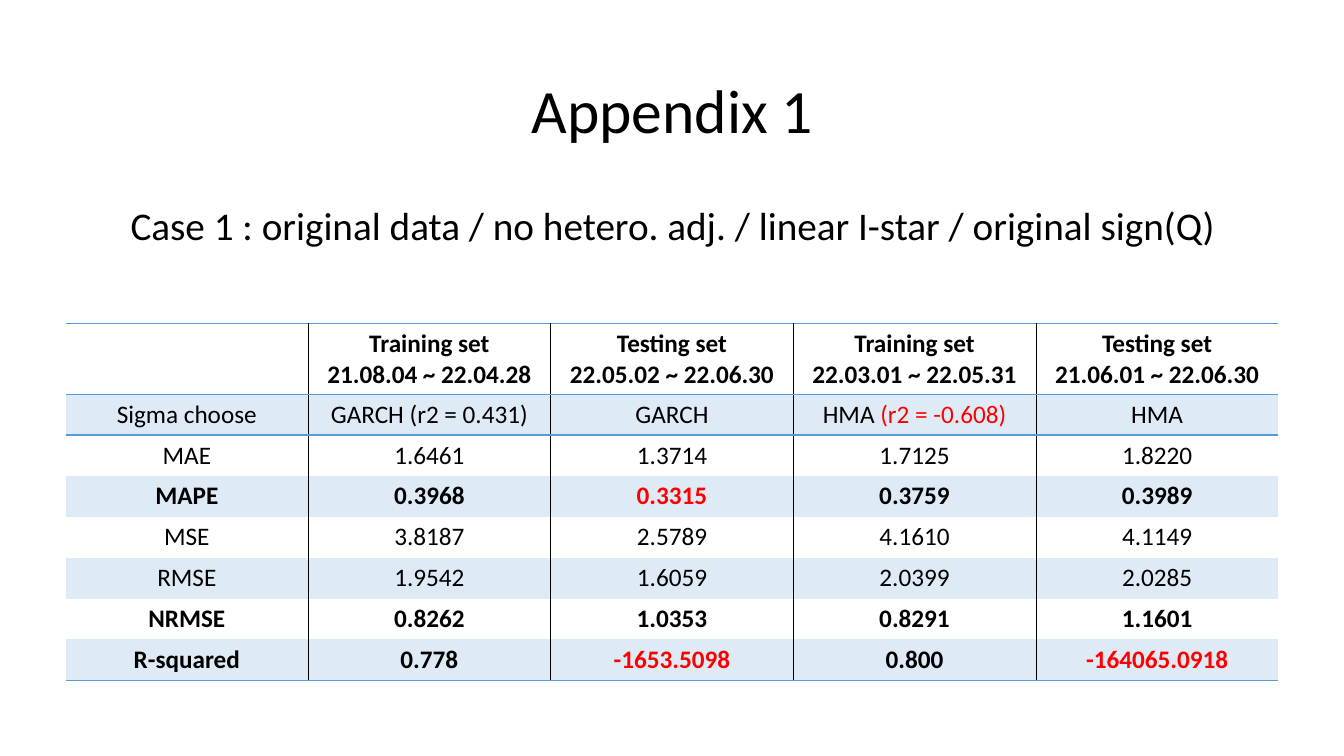
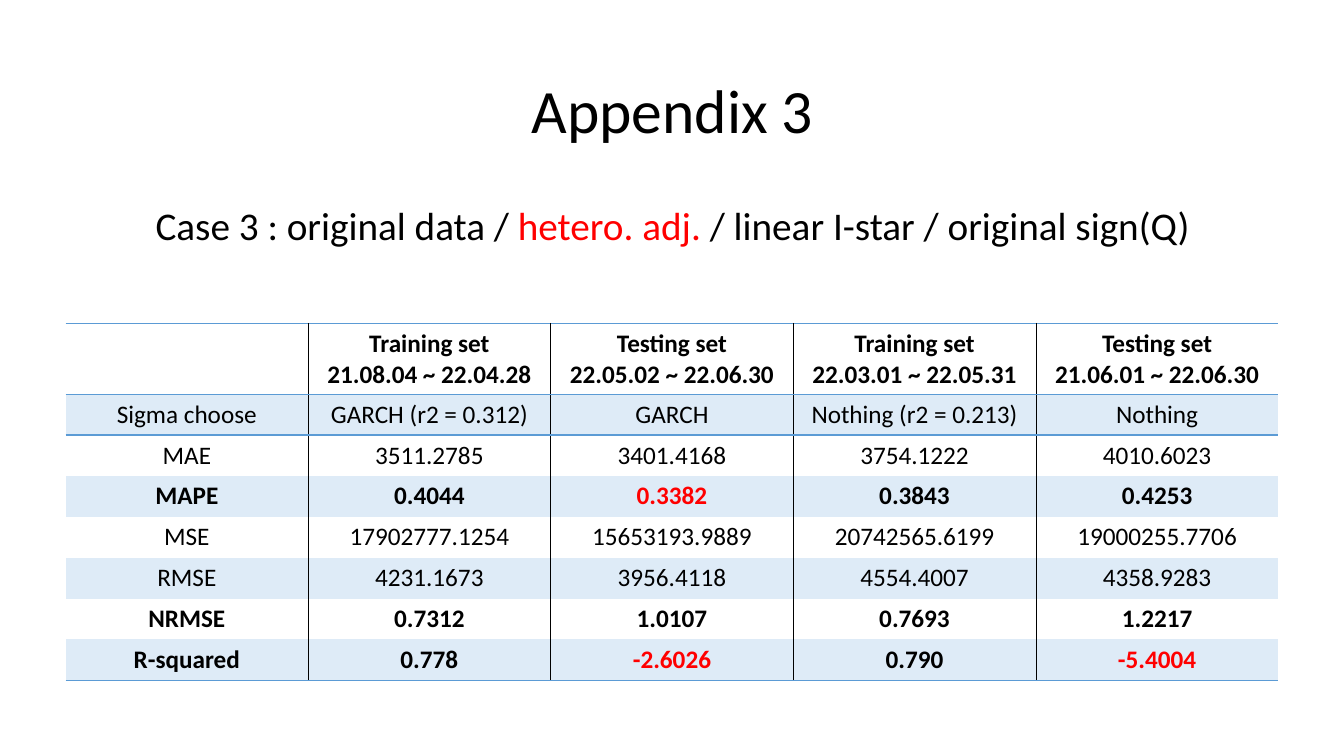
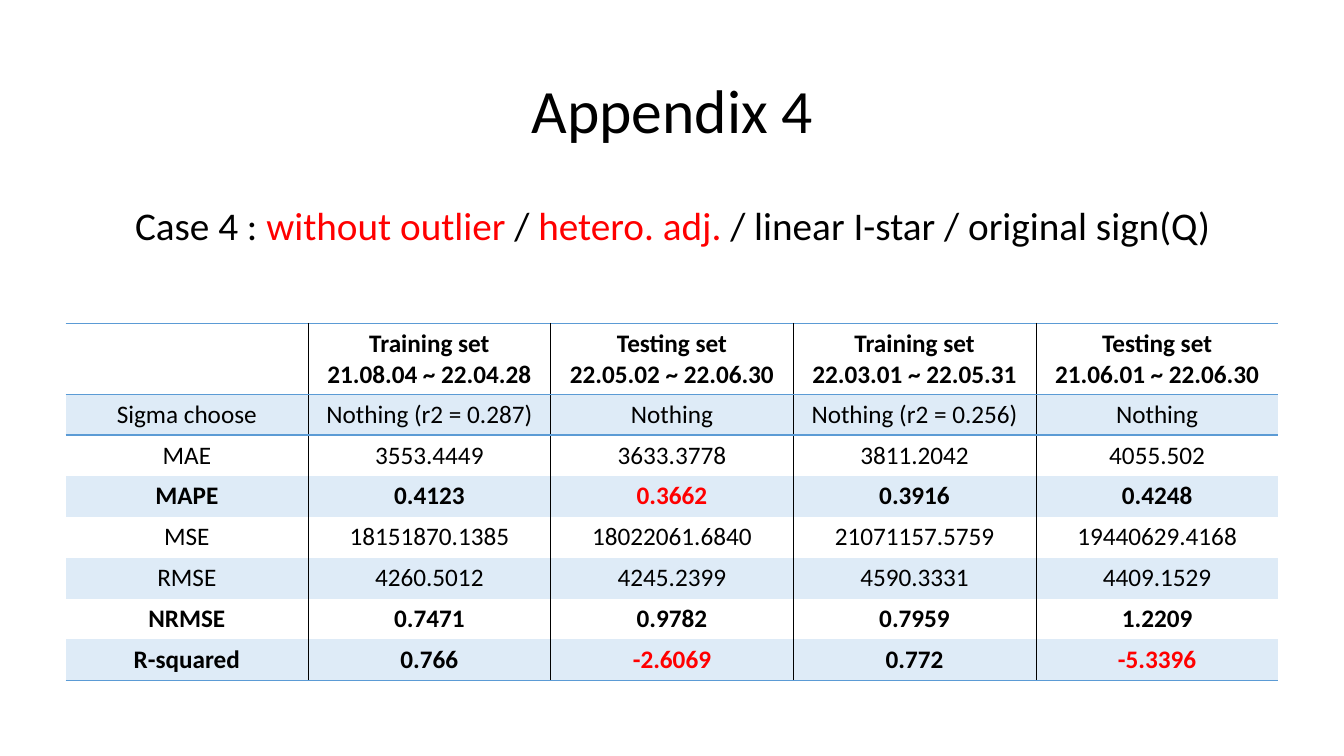
from dataclasses import dataclass

from lxml.etree import SubElement
from pptx import Presentation
from pptx.dml.color import RGBColor
from pptx.enum.text import MSO_ANCHOR, MSO_AUTO_SIZE, PP_ALIGN
from pptx.oxml.ns import qn
from pptx.util import Inches, Pt


@dataclass(frozen=True)
class Theme:
    font: str = "Calibri"
    ink: str = "000000"
    highlight: str = "FF0000"
    accent: str = "5B9BD5"
    band: str = "DEEBF7"
    title_size: int = 44
    case_size: int = 28
    table_size: int = 18
    title_spacing: float = 0.9
    rule_width: float = 1
    divider_widths: tuple = (1, 0.5)


THEME = Theme()
TITLE_ONLY = 5
NO_STYLE_ID = "{2D5ABB26-0587-4C30-8999-92F81FD0307C}"
HEADER = [
    "",
    "Training set\n21.08.04 ~ 22.04.28",
    "Testing set\n22.05.02 ~ 22.06.30",
    "Training set\n22.03.01 ~ 22.05.31",
    "Testing set\n21.06.01 ~ 22.06.30",
]
METRICS = ["Sigma choose", "MAE", "MAPE", "MSE", "RMSE", "NRMSE", "R-squared"]
KEY_METRICS = {"MAPE", "NRMSE", "R-squared"}

# Text between vertical bars is highlighted.
APPENDICES = [
    (
        "Appendix 1",
        "Case 1 : original data / no hetero. adj. / linear I-star / original sign(Q)",
        [
            ["GARCH (r2 = 0.431)", "GARCH", "HMA |(r2 = -0.608)|", "HMA"],
            ["1.6461", "1.3714", "1.7125", "1.8220"],
            ["0.3968", "|0.3315|", "0.3759", "0.3989"],
            ["3.8187", "2.5789", "4.1610", "4.1149"],
            ["1.9542", "1.6059", "2.0399", "2.0285"],
            ["0.8262", "1.0353", "0.8291", "1.1601"],
            ["0.778", "|-1653.5098|", "0.800", "|-164065.0918|"],
        ],
    ),
    (
        "Appendix 3",
        "Case 3 : original data / |hetero. adj. |/ linear I-star / original sign(Q)",
        [
            ["GARCH (r2 = 0.312)", "GARCH", "Nothing (r2 = 0.213)", "Nothing"],
            ["3511.2785", "3401.4168", "3754.1222", "4010.6023"],
            ["0.4044", "|0.3382|", "0.3843", "0.4253"],
            ["17902777.1254", "15653193.9889", "20742565.6199", "19000255.7706"],
            ["4231.1673", "3956.4118", "4554.4007", "4358.9283"],
            ["0.7312", "1.0107", "0.7693", "1.2217"],
            ["0.778", "|-2.6026|", "0.790", "|-5.4004|"],
        ],
    ),
    (
        "Appendix 4",
        "Case 4 : |without outlier| / |hetero. adj. |/ linear I-star / original sign(Q)",
        [
            ["Nothing (r2 = 0.287)", "Nothing", "Nothing (r2 = 0.256)", "Nothing"],
            ["3553.4449", "3633.3778", "3811.2042", "4055.502"],
            ["0.4123", "|0.3662|", "0.3916", "0.4248"],
            ["18151870.1385", "18022061.6840", "21071157.5759", "19440629.4168"],
            ["4260.5012", "4245.2399", "4590.3331", "4409.1529"],
            ["0.7471", "0.9782", "0.7959", "1.2209"],
            ["0.766", "|-2.6069|", "0.772", "|-5.3396|"],
        ],
    ),
]


def write_text(frame, text, size, bold=False, line_spacing=None):
    for index, line in enumerate(text.split("\n")):
        paragraph = frame.add_paragraph() if index else frame.paragraphs[0]
        paragraph.alignment = PP_ALIGN.CENTER
        paragraph.line_spacing = line_spacing
        for position, part in enumerate(line.split("|")):
            if not part:
                continue
            run = paragraph.add_run()
            run.text = part
            run.font.name = THEME.font
            run.font.size = Pt(size)
            run.font.bold = bold
            color = THEME.highlight if position % 2 else THEME.ink
            run.font.color.rgb = RGBColor.from_string(color)


def add_border(cell, side, color, width):
    properties = cell._tc.get_or_add_tcPr()
    line = SubElement(properties, qn(f"a:ln{side}"), w=str(Pt(width)))
    fill = SubElement(line, qn("a:solidFill"))
    SubElement(fill, qn("a:srgbClr"), val=color)


class Deck:
    def __init__(self, theme):
        self.theme = theme
        self.presentation = Presentation()
        self.presentation.slide_width = Inches(13.33)
        self.presentation.slide_height = Inches(7.5)
        self.slide = None

    def add_slide(self, title):
        layout = self.presentation.slide_layouts[TITLE_ONLY]
        self.slide = self.presentation.slides.add_slide(layout)
        shape = self.slide.shapes.title
        shape.left, shape.top = Inches(0.92), Inches(0.4)
        shape.width, shape.height = Inches(11.5), Inches(1.45)
        shape.text_frame.auto_size = MSO_AUTO_SIZE.NONE
        shape.text_frame.vertical_anchor = MSO_ANCHOR.MIDDLE
        write_text(shape.text_frame, title, self.theme.title_size,
                   line_spacing=self.theme.title_spacing)

    def add_case(self, text):
        shape = self.slide.shapes.add_textbox(
            Inches(0.92), Inches(2), Inches(11.5), Inches(0.75))
        shape.text_frame.word_wrap = True
        write_text(shape.text_frame, text, self.theme.case_size,
                   line_spacing=self.theme.title_spacing)

    def add_results(self, results):
        rows = [HEADER] + [[name, *values] for name, values in zip(METRICS, results)]
        width, height, header_height = Inches(12.03), Inches(3.54), Inches(0.7)
        frame = self.slide.shapes.add_table(
            len(rows), len(HEADER), Inches(0.65), Inches(3.21), width, height)
        table = frame.table
        table._tbl.tblPr.find(qn("a:tableStyleId")).text = NO_STYLE_ID
        table.first_row = table.horz_banding = False
        for column in table.columns:
            column.width = width // len(HEADER)
        for row_index, values in enumerate(rows):
            is_header = row_index == 0
            table.rows[row_index].height = (
                header_height if is_header else (height - header_height) // len(METRICS))
            bold = is_header or values[0] in KEY_METRICS
            for column_index, text in enumerate(values):
                cell = table.cell(row_index, column_index)
                write_text(cell.text_frame, text, self.theme.table_size, bold=bold)
                self.style_cell(cell, row_index, column_index, len(rows))

    def style_cell(self, cell, row_index, column_index, row_count):
        theme = self.theme
        if column_index > 0:
            add_border(cell, "L", theme.ink, theme.divider_widths[(column_index - 1) % 2])
        if column_index < len(HEADER) - 1:
            add_border(cell, "R", theme.ink, theme.divider_widths[column_index % 2])
        if row_index in (0, 1):
            add_border(cell, "T", theme.accent, theme.rule_width)
        if row_index in (0, row_count - 1):
            add_border(cell, "B", theme.accent, theme.rule_width)
        if row_index % 2:
            cell.fill.solid()
            cell.fill.fore_color.rgb = RGBColor.from_string(theme.band)
        else:
            cell.fill.background()


def main():
    deck = Deck(THEME)
    for title, case, results in APPENDICES:
        deck.add_slide(title)
        deck.add_case(case)
        deck.add_results(results)
    deck.presentation.save("out.pptx")


if __name__ == "__main__":
    main()
